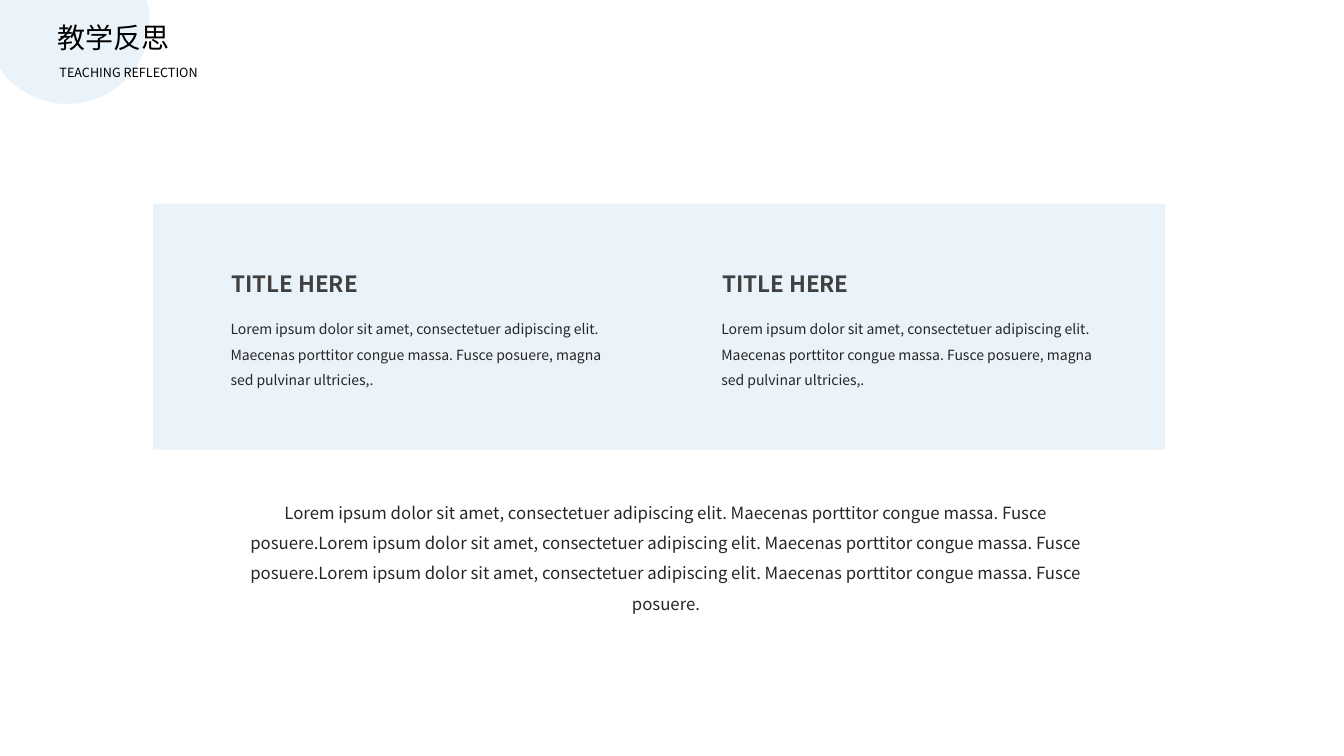
import math

import pptx
import pptx.dml.color
import pptx.enum.shapes
import pptx.enum.text
import pptx.oxml.ns
import pptx.util
from lxml import etree

Cm = pptx.util.Cm
RGBColor = pptx.dml.color.RGBColor
Align = pptx.enum.text.PP_ALIGN

PALE = RGBColor(0xEB, 0xF3, 0xFA)
BLACK = RGBColor(0x00, 0x00, 0x00)
GREY = RGBColor(0x40, 0x40, 0x40)
INK = RGBColor(0x26, 0x26, 0x26)
FONT = "Noto Sans CJK SC"

LOREM = ("Lorem ipsum dolor sit amet, consectetuer adipiscing elit. "
         "Maecenas porttitor congue massa. Fusce posuere")


class Page:
    def __init__(self, deck):
        self.slide = deck.slides.add_slide(deck.slide_layouts[5])
        self.shapes = self.slide.shapes

    def paint(self, shape):
        shape.shadow.inherit = False
        shape.fill.solid()
        shape.fill.fore_color.rgb = PALE
        shape.line.fill.background()

    def panel(self, x, y, w, h):
        kind = pptx.enum.shapes.MSO_SHAPE.RECTANGLE
        self.paint(self.shapes.add_shape(kind, Cm(x), Cm(y), Cm(w), Cm(h)))

    def corner(self, x, y, r, steps=90):
        """Draw a disc cut off by the left and top edges of the slide."""
        start = -math.asin(y / r)
        end = math.pi - math.acos(x / r)
        turns = [start + (end - start) * i / steps for i in range(steps + 1)]
        arc = [(Cm(x + r * math.cos(t)), Cm(y + r * math.sin(t))) for t in turns]
        edge = self.shapes.build_freeform(0, 0)
        edge.add_line_segments(arc, close=True)
        self.paint(edge.convert_to_shape())

    def title(self, *args, **style):
        shape = self.shapes.title
        # Bring the title in front of the disc
        shape.element.getparent().append(shape.element)
        self.fill(shape, *args, **style)

    def text(self, *args, **style):
        self.fill(self.shapes.add_textbox(0, 0, 0, 0), *args, **style)

    def fill(self, shape, words, x, y, w, h, size, color,
             align=Align.JUSTIFY, bold=False, space=1.0):
        """Place a text shape and give it one styled run."""
        shape.left, shape.top = Cm(x), Cm(y)
        shape.width, shape.height = Cm(w), Cm(h)
        frame = shape.text_frame
        frame.word_wrap = True
        frame.auto_size = pptx.enum.text.MSO_AUTO_SIZE.SHAPE_TO_FIT_TEXT
        frame.vertical_anchor = pptx.enum.text.MSO_ANCHOR.TOP
        para = frame.paragraphs[0]
        para.alignment = align
        para.line_spacing = space
        run = para.add_run()
        run.text = words
        font = run.font
        font.size = pptx.util.Pt(size)
        font.bold = bold
        font.color.rgb = color
        font.name = FONT
        east = etree.SubElement(run._r.get_or_add_rPr(), pptx.oxml.ns.qn("a:ea"))
        east.set("typeface", FONT)


def main():
    deck = pptx.Presentation()
    deck.slide_width, deck.slide_height = Cm(33.87), Cm(19.05)
    page = Page(deck)

    page.panel(3.86, 5.13, 25.5, 6.2)
    page.corner(1.7, 0.55, 2.07)
    page.title("教学反思", 1.19, 0.38, 4.06, 1.12, 20, BLACK)
    page.text("TEACHING REFLECTION", 1.25, 1.5, 5.36, 0.64, 9, BLACK)

    for x in (5.58, 17.95):
        page.text("TITLE HERE", x, 6.68, 4.06, 0.94, 16, GREY, bold=True)
        page.text(LOREM + ", magna sed pulvinar ultricies,.",
                  x - 0.02, 7.75, 10.19, 2.18, 10, INK,
                  align=Align.LEFT, space=1.5)

    page.text((LOREM + ".") * 3, 5.38, 12.29, 22.81, 3.33, 12, INK,
              align=Align.CENTER, space=1.5)

    deck.save("out.pptx")


if __name__ == "__main__":
    main()
